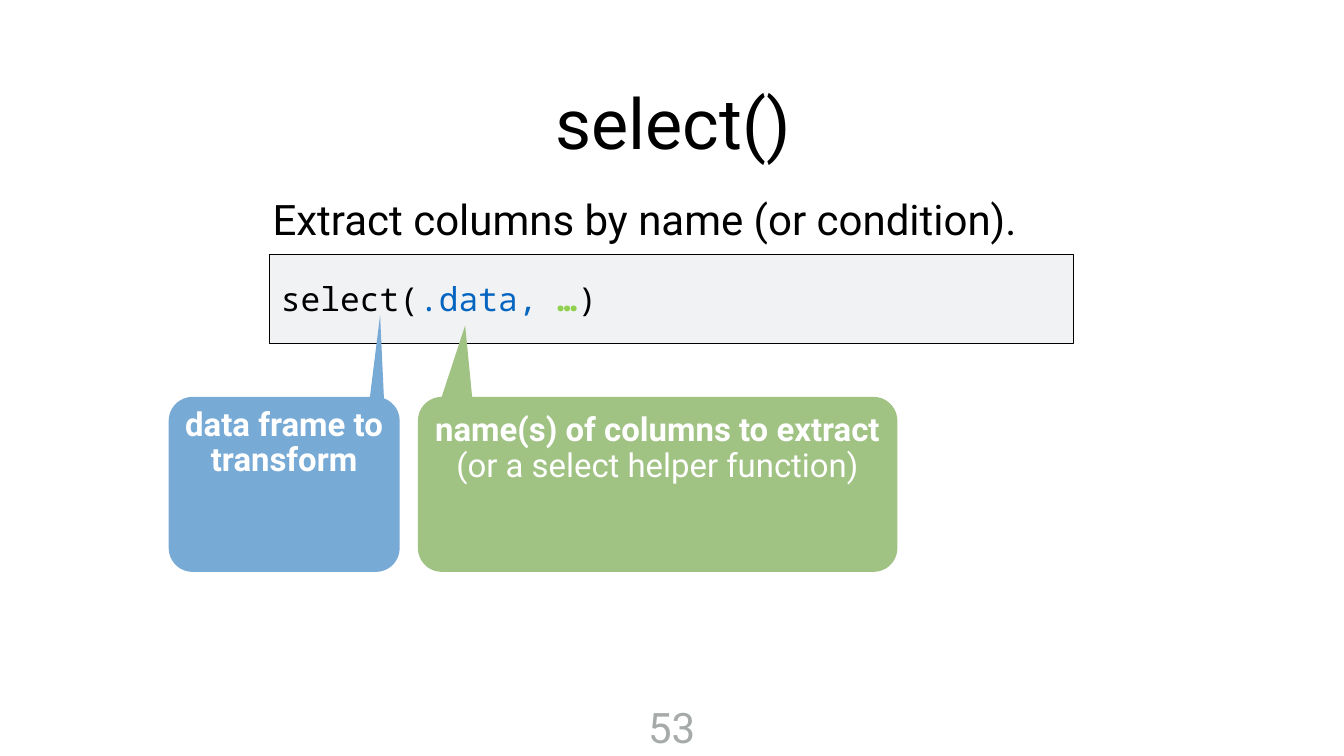
from math import cos, radians, sin

from pptx import Presentation
from pptx.dml.color import RGBColor
from pptx.enum.shapes import MSO_SHAPE
from pptx.enum.text import MSO_ANCHOR, MSO_AUTO_SIZE, PP_ALIGN
from pptx.util import Pt

RECTANGLE = MSO_SHAPE.RECTANGLE
TOP, MIDDLE = MSO_ANCHOR.TOP, MSO_ANCHOR.MIDDLE
LEFT, CENTER = PP_ALIGN.LEFT, PP_ALIGN.CENTER
FIXED = MSO_AUTO_SIZE.NONE

BLACK = RGBColor(0x00, 0x00, 0x00)
WHITE = RGBColor(0xFF, 0xFF, 0xFF)
GRAY = RGBColor(0xA6, 0xAA, 0xA9)
PANEL = RGBColor(0xF0, 0xF2, 0xF4)
CODE_BLUE = RGBColor(0x03, 0x65, 0xC0)
CODE_GREEN = RGBColor(0x92, 0xD0, 0x50)
CALLOUT_BLUE = RGBColor(0x78, 0xAA, 0xD6)
CALLOUT_GREEN = RGBColor(0xA0, 0xC2, 0x83)


class SlideBuilder:
    """Draws the elements of a slide in one shared style."""

    sans = "Roboto"
    mono = "Noto Sans Mono"
    radius = 34

    def __init__(self, page):
        self.page = page

    def frame(self, shape, anchor, inset, wrap=True):
        frame = shape.text_frame
        frame.word_wrap = wrap
        frame.auto_size = FIXED
        frame.vertical_anchor = anchor
        frame.margin_left = frame.margin_right = Pt(inset)
        frame.margin_top = frame.margin_bottom = Pt(inset)
        return frame

    def style(self, para, name, size, color, align, bold=False):
        para.alignment = align
        para.font.name = name
        para.font.size = Pt(size)
        para.font.bold = bold
        if color is not None:
            para.font.color.rgb = color

    def title(self, text, left, top, width, height):
        title = self.page.shapes.title
        title.left, title.top = Pt(left), Pt(top)
        title.width, title.height = Pt(width), Pt(height)
        para = self.frame(title, MIDDLE, 4.32).paragraphs[0]
        para.text = text
        self.style(para, self.sans, 100, BLACK, CENTER)

    def text(self, text, left, top, width, height, color=BLACK,
             align=LEFT, anchor=MIDDLE, inset=4.32, wrap=True):
        box = self.page.shapes.add_textbox(Pt(left), Pt(top), Pt(width), Pt(height))
        para = self.frame(box, anchor, inset, wrap).paragraphs[0]
        para.text = text
        self.style(para, self.sans, 60, color, align)

    def code(self, spans, left, top, width, height):
        box = self.page.shapes.add_textbox(Pt(left), Pt(top), Pt(width), Pt(height))
        para = self.frame(box, TOP, 4.32).paragraphs[0]
        self.style(para, self.mono, 47, None, LEFT)
        for text, color, bold in spans:
            span = para.add_run()
            span.text = text
            span.font.color.rgb = color
            span.font.bold = bold

    def panel(self, left, top, width, height):
        panel = self.page.shapes.add_shape(
            RECTANGLE, Pt(left), Pt(top), Pt(width), Pt(height))
        panel.shadow.inherit = False
        panel.fill.solid()
        panel.fill.fore_color.rgb = PANEL
        panel.line.color.rgb = BLACK
        panel.line.width = Pt(1)

    def corner(self, x, y, start):
        angles = [radians(start + step) for step in range(0, 91, 10)]
        return [(x + self.radius * cos(a), y - self.radius * sin(a)) for a in angles]

    def callout(self, lines, left, top, right, bottom, tip, base_left, base_right, color):
        inner_left, inner_right = left + self.radius, right - self.radius
        inner_top, inner_bottom = top + self.radius, bottom - self.radius
        last_corner = self.corner(inner_right, inner_top, 0)
        outline = [
            (base_left, top),
            *self.corner(inner_left, inner_top, 90),
            *self.corner(inner_left, inner_bottom, 180),
            *self.corner(inner_right, inner_bottom, 270),
            *[point for point in last_corner if point[0] > base_right[0]],
            base_right,
        ]
        builder = self.page.shapes.build_freeform(Pt(tip[0]), Pt(tip[1]))
        builder.add_line_segments([(Pt(x), Pt(y)) for x, y in outline], close=True)
        bubble = builder.convert_to_shape()
        bubble.shadow.inherit = False
        bubble.fill.solid()
        bubble.fill.fore_color.rgb = color
        bubble.line.fill.background()
        frame = self.frame(bubble, MIDDLE, 5.76)
        for index, (text, bold) in enumerate(lines):
            para = frame.add_paragraph() if index else frame.paragraphs[0]
            para.text = text
            para.line_spacing = 0.9
            self.style(para, self.sans, 47, WHITE, CENTER, bold)


def main():
    deck = Presentation()
    deck.slide_width, deck.slide_height = Pt(1920), Pt(1080)
    slide = SlideBuilder(deck.slides.add_slide(deck.slide_layouts[5]))

    slide.title("select()", 317, 79, 1289, 189)
    slide.text("Extract columns by name (or condition).", 385, 256, 1140, 112)
    slide.panel(385, 364, 1149, 127)
    slide.code(
        [("select(", BLACK, False), (".data, ", CODE_BLUE, False),
         ("…", CODE_GREEN, True), (")", BLACK, False)],
        397, 393, 1086, 112)
    slide.callout(
        [("name(s) of columns to extract", True),
         ("(or a select helper function)", False)],
        597, 567, 1282, 817, (664.5, 465), 631, (674.5, 567), CALLOUT_GREEN)
    slide.callout(
        [("data frame to transform", True)],
        241, 567, 571, 817, (543, 450), 528.5, (548.5, 569), CALLOUT_BLUE)
    slide.text("53", 920, 997, 79, 83, GRAY, CENTER, TOP, 5.76, wrap=False)

    deck.save("out.pptx")


if __name__ == "__main__":
    main()
